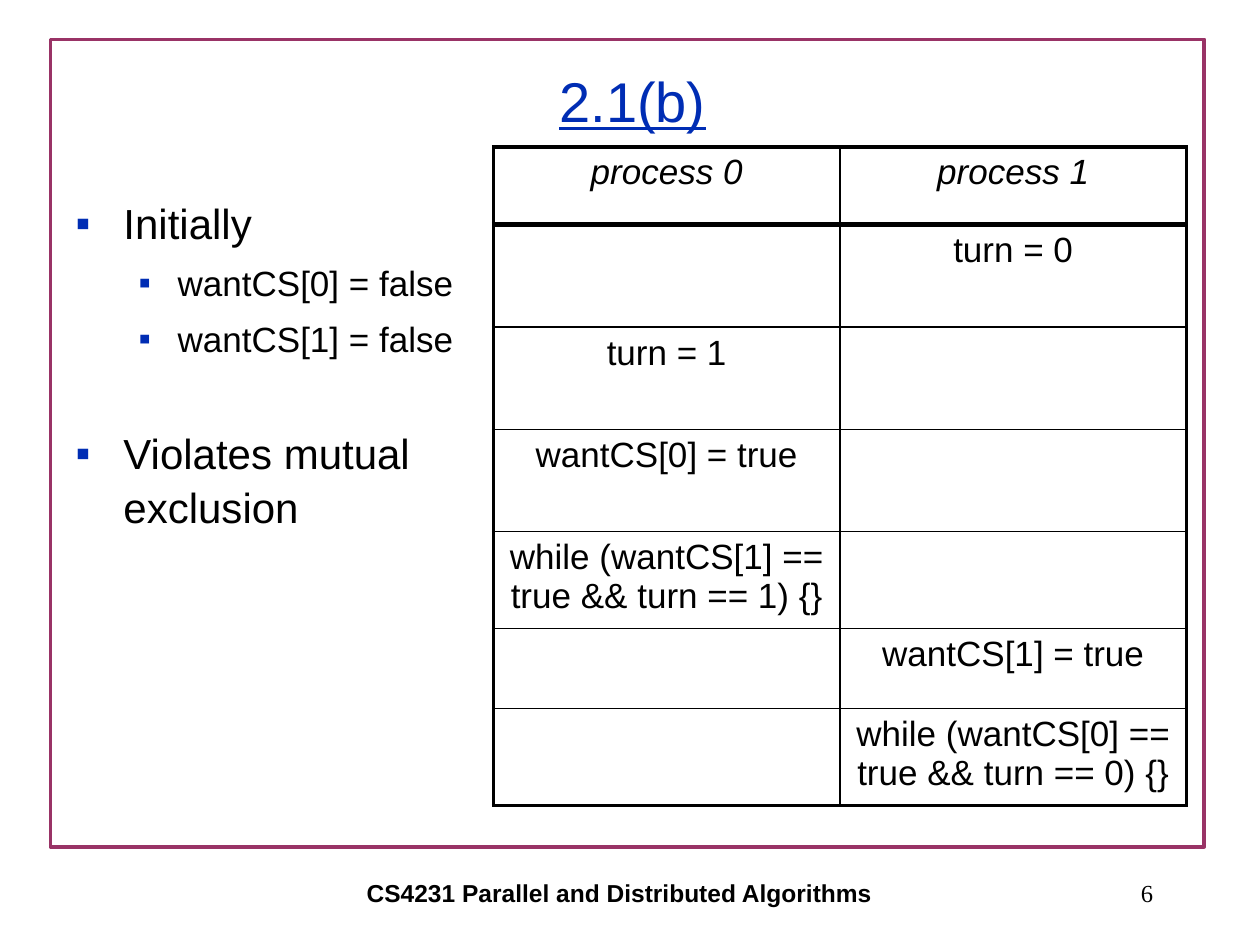
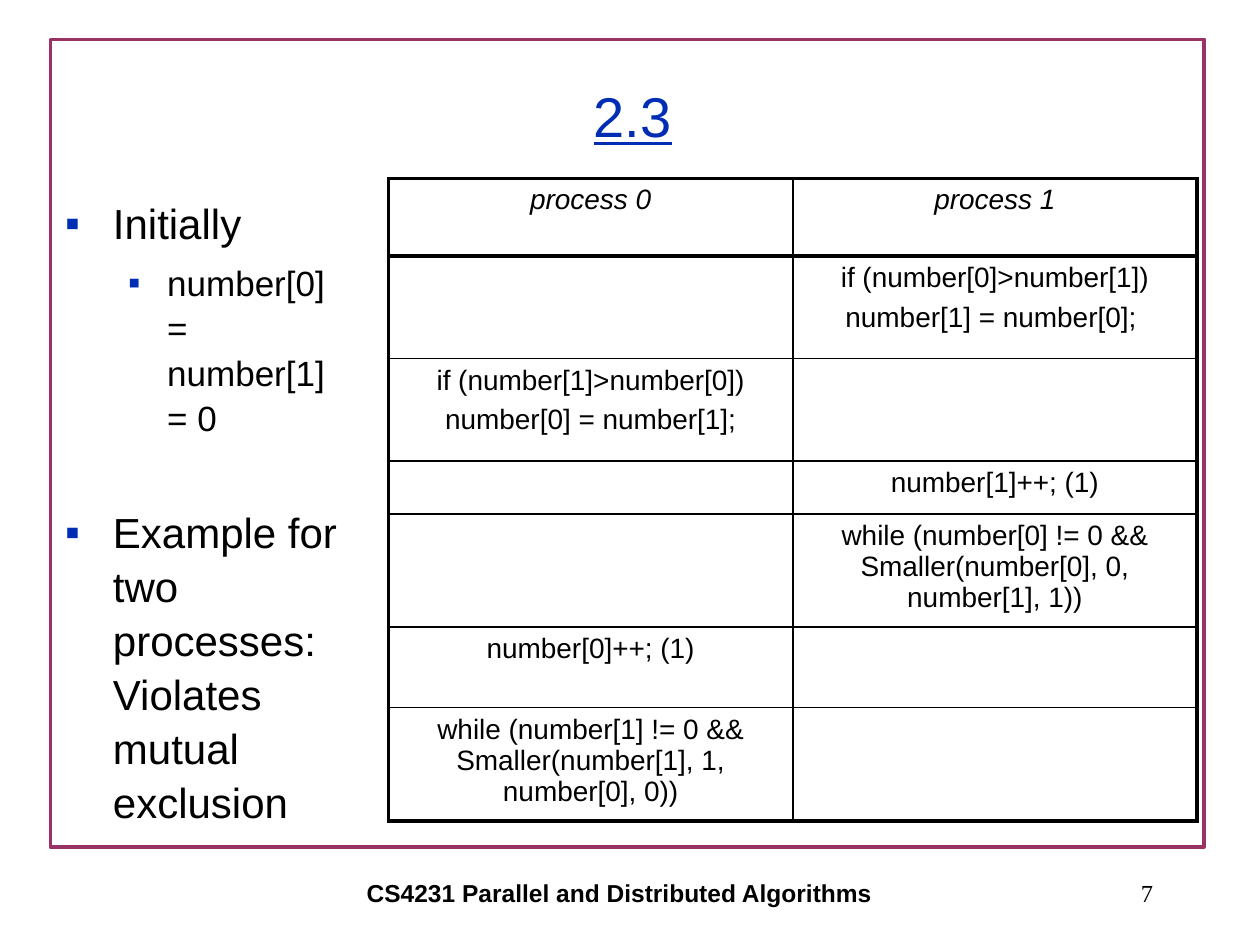
from lxml import etree
from pptx import Presentation
from pptx.dml.color import RGBColor
from pptx.enum.shapes import MSO_SHAPE
from pptx.enum.text import MSO_ANCHOR, MSO_AUTO_SIZE, PP_ALIGN
from pptx.oxml.ns import qn
from pptx.util import Inches, Pt

CENTER, RIGHT = PP_ALIGN.CENTER, PP_ALIGN.RIGHT
MIDDLE, TOP = MSO_ANCHOR.MIDDLE, MSO_ANCHOR.TOP
NO_FIT = MSO_AUTO_SIZE.NONE
RECT = MSO_SHAPE.RECTANGLE

COLORS = {"frame": "993366", "accent": "002DB4", "text": "000000"}
FONT, NUMBER_FONT = "Arial", "Times New Roman"
WIDTH, HEIGHT = Inches(10), Inches(7.5)
COLS, ROWS = 120, 90
COURSE = "CS4231 Parallel and Distributed Algorithms"
SPACING = 0.3
BULLETS = [
    {"size": 24, "margin": 0.38, "hang": 0.38},
    {"size": 20, "margin": 0.81, "hang": 0.31},
]
GROUP_GAP = 37
OUTER, HEADER, INNER = 2.25, 3, 1


def x(cols):
    """Return the width of a number of grid columns."""
    return int(WIDTH * cols / COLS)


def y(rows):
    """Return the height of a number of grid rows."""
    return int(HEIGHT * rows / ROWS)


def box(left, top, width, height):
    """Return a grid rectangle as slide lengths."""
    return x(left), y(top), x(width), y(height)


def place(shape, area):
    """Move a placeholder to a grid rectangle."""
    shape.left, shape.top, shape.width, shape.height = box(*area)


def style(p, size, color="text", font=FONT, **flags):
    """Format all runs of a paragraph."""
    for r in p.runs:
        r.font.size, r.font.name = Pt(size), font
        r.font.color.rgb = RGBColor.from_string(COLORS[color])
        for name, value in flags.items():
            setattr(r.font, name, value)


def add_frame(s):
    """Outline the content area."""
    sp = s.shapes.add_shape(RECT, *box(4.8, 3.75, 109.9, 76.9))
    sp.shadow.inherit = False
    sp.fill.background()
    sp.line.color.rgb = RGBColor.from_string(COLORS["frame"])
    sp.line.width = Pt(2)


def add_footer(s, area, text, align, **look):
    """Write one footer text."""
    tf = s.shapes.add_textbox(*box(*area)).text_frame
    tf.word_wrap, tf.vertical_anchor = True, MIDDLE
    tf.text = text
    p = tf.paragraphs[0]
    p.alignment = align
    style(p, 14, **look)


def set_title(s, text, top):
    """Fill and place the underlined title."""
    place(s.shapes.title, (9.25, top, 102, 11))
    tf = s.shapes.title.text_frame
    tf.text, tf.vertical_anchor, tf.auto_size = text, MIDDLE, NO_FIT
    p = tf.paragraphs[0]
    p.alignment = CENTER
    style(p, 32, "accent", underline=True)


def add_bullet(p, level):
    """Give a paragraph its square bullet and hanging indent."""
    look = BULLETS[level]
    pPr = p._p.get_or_add_pPr()
    pPr.set("marL", str(Inches(look["margin"])))
    pPr.set("indent", str(-Inches(look["hang"])))
    color = etree.SubElement(pPr, qn("a:buClr"))
    etree.SubElement(color, qn("a:srgbClr"), val=COLORS["accent"])
    etree.SubElement(pPr, qn("a:buFont"), typeface=FONT)
    etree.SubElement(pPr, qn("a:buChar"), char="▪")


def set_body(s, area, items):
    """Fill the body with bullets, opening a gap before each later group."""
    body = s.placeholders[1]
    place(body, area)
    tf = body.text_frame
    tf.auto_size, tf.vertical_anchor = NO_FIT, TOP
    for i, (level, text) in enumerate(items):
        p = tf.add_paragraph() if i else tf.paragraphs[0]
        size = BULLETS[level]["size"]
        p.text, p.level, p.line_spacing = text, level, 1.07
        new_group = i > 0 and level == 0
        p.space_before = Pt(GROUP_GAP if new_group else size * SPACING)
        add_bullet(p, level)
        style(p, size)


def set_borders(cell, widths):
    """Draw the left, right, top and bottom borders of a cell."""
    tcPr = cell._tc.get_or_add_tcPr()
    for side, width in zip("LRTB", widths):
        ln = etree.SubElement(tcPr, qn(f"a:ln{side}"), w=str(Pt(width)))
        fill = etree.SubElement(ln, qn("a:solidFill"))
        etree.SubElement(fill, qn("a:srgbClr"), val=COLORS["text"])


def fill_cell(cell, text, size, italic):
    """Write centred lines into a cell."""
    cell.text = text
    for p in cell.text_frame.paragraphs:
        p.alignment, p.space_before = CENTER, Pt(size * SPACING)
        style(p, size, italic=italic)


def add_schedule(s, left, top, width, size, heights, steps):
    """Tabulate the steps, each in the column of its process."""
    area = box(left, top, width, sum(heights))
    table = s.shapes.add_table(len(heights), 2, *area).table
    table.first_row = table.horz_banding = False
    for col in table.columns:
        col.width = x(width / 2)
    for row, height in zip(table.rows, heights):
        row.height = y(height)
    last = len(heights) - 1
    for i in range(len(heights)):
        for j in range(2):
            cell = table.cell(i, j)
            above = {0: OUTER, 1: HEADER}.get(i, INNER)
            below = {0: HEADER, last: OUTER}.get(i, INNER)
            sides = (INNER, OUTER) if j else (OUTER, INNER)
            set_borders(cell, (*sides, above, below))
            cell.fill.background()
            if i == 0:
                fill_cell(cell, f"process {j}", size, True)
            elif steps[i - 1][0] == j:
                fill_cell(cell, steps[i - 1][1], size, False)


def add_slide(prs, number, title, title_top):
    """Add a slide with frame, title and footers."""
    s = prs.slides.add_slide(prs.slide_layouts[1])
    add_frame(s)
    add_footer(s, (17, 82, 84, 6), COURSE, CENTER, bold=True)
    add_footer(s, (86, 82, 25, 6), str(number), RIGHT, font=NUMBER_FONT)
    set_title(s, title, title_top)
    return s


def main():
    """Build both slides."""
    prs = Presentation()
    prs.slide_width, prs.slide_height = WIDTH, HEIGHT

    s = add_slide(prs, 6, "2.1(b)", 4)
    set_body(s, (6, 17.9, 43, 61.3), [
        (0, "Initially"),
        (1, "wantCS[0] = false"),
        (1, "wantCS[1] = false"),
        (0, "Violates mutual exclusion"),
    ])
    heights = [7.4, 9.75, 9.75, 9.75, 9.2, 7.65, 9.2]
    add_schedule(s, 47, 14, 66, 20, heights, [
        (1, "turn = 0"),
        (0, "turn = 1"),
        (0, "wantCS[0] = true"),
        (0, "while (wantCS[1] == true && turn == 1) {}"),
        (1, "wantCS[1] = true"),
        (1, "while (wantCS[0] == true && turn == 0) {}"),
    ])

    s = add_slide(prs, 7, "2.3", 5.5)
    set_body(s, (5, 17.9, 30, 61.3), [
        (0, "Initially"),
        (1, "number[0] = number[1] = 0"),
        (0, "Example for two processes: Violates mutual exclusion"),
    ])
    heights = [7.4, 9.75, 9.75, 5.05, 10.8, 7.65, 10.8]
    add_schedule(s, 37, 17, 77, 16, heights, [
        (1, "if (number[0]>number[1])\nnumber[1] = number[0]; "),
        (0, "if (number[1]>number[0])\nnumber[0] = number[1];"),
        (1, "number[1]++; (1)"),
        (1, "while (number[0] != 0 && Smaller(number[0], 0, number[1], 1))"),
        (0, "number[0]++; (1)"),
        (0, "while (number[1] != 0 && Smaller(number[1], 1, number[0], 0))"),
    ])
    prs.save("out.pptx")


if __name__ == "__main__":
    main()
